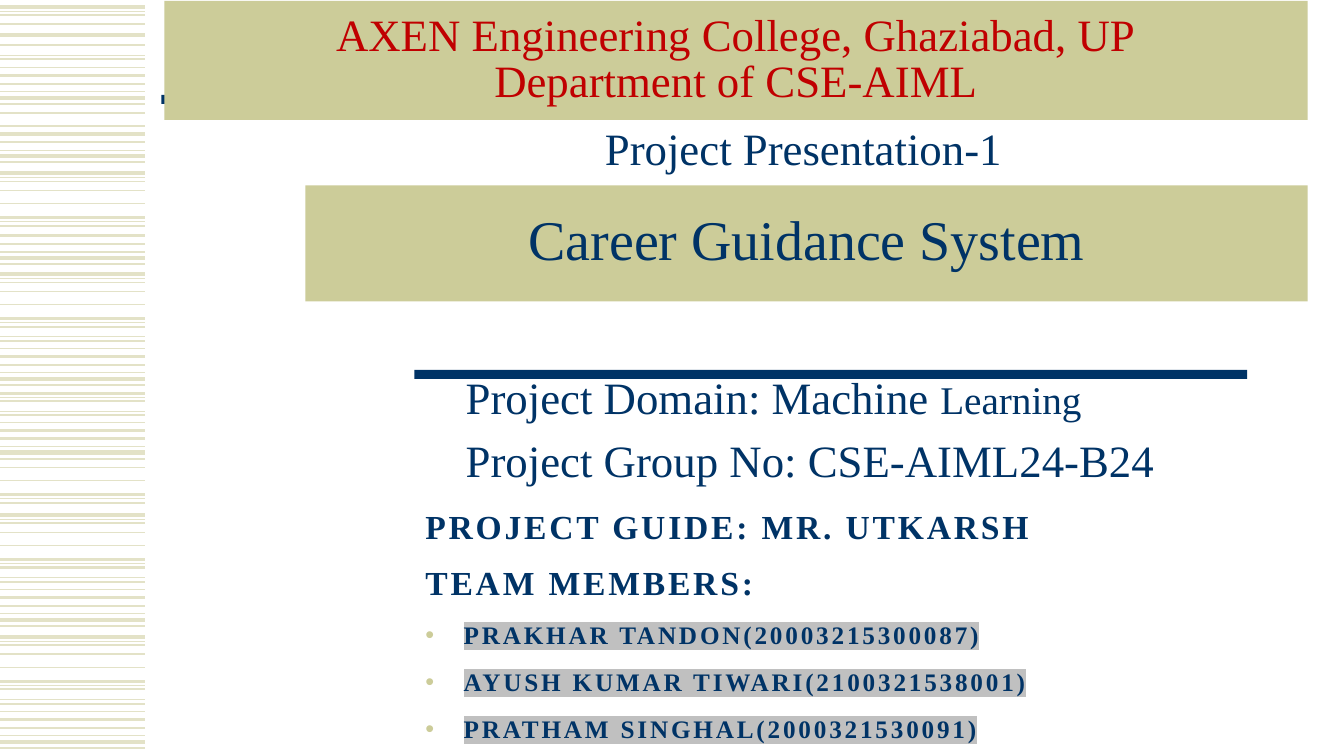
"""Build the title slide of a career guidance project presentation."""
import pptx
import pptx.util
import pptx.dml.color
import pptx.enum.shapes
import pptx.enum.text
import pptx.oxml.ns
import lxml.etree

Inches, Pt = pptx.util.Inches, pptx.util.Pt
RGBColor = pptx.dml.color.RGBColor
ALIGN = pptx.enum.text.PP_ALIGN
ANCHOR = pptx.enum.text.MSO_ANCHOR
qn = pptx.oxml.ns.qn
NAVY = RGBColor(0x00, 0x33, 0x66)
KHAKI = RGBColor(0xCC, 0xCC, 0x99)
STRIPE = RGBColor(0xE3, 0xE2, 0xC7)
RED = RGBColor(0xC0, 0x00, 0x00)
SILVER = RGBColor(0xC0, 0xC0, 0xC0)

prs = pptx.Presentation()
prs.slide_width, prs.slide_height = Inches(13.33), Inches(7.5)
s = prs.slides.add_slide(prs.slide_layouts[6])


def add_box(at, fill=None):
    """Add a filled rectangle, or a text box when there is no fill."""
    at = [Inches(v) for v in at]
    if fill is None:
        sp = s.shapes.add_textbox(*at)
    else:
        sp = s.shapes.add_shape(pptx.enum.shapes.MSO_SHAPE.RECTANGLE, *at)
        sp.shadow.inherit = False
        sp.fill.solid()
        sp.fill.fore_color.rgb = fill
        sp.line.fill.background()
    sp.text_frame.word_wrap = True
    return sp


def add_text(tf, runs, color=NAVY, bold=False, **paragraph):
    """Add a paragraph of (text, size) runs, reusing an empty first one."""
    p = tf.paragraphs[0] if not tf.paragraphs[0].runs else tf.add_paragraph()
    for name, value in paragraph.items():
        setattr(p, name, value)
    for text, size in runs:
        r = p.add_run()
        r.text = text
        r.font.color.rgb = color
        for name, value in {"name": "Times New Roman", "size": Pt(size), "bold": bold}.items():
            setattr(r.font, name, value)
    return p


short = [(0, 1), (0.08, 2.25), (0.16, 1.5), (0.24, 0.75), (0.3, 3), (0.36, 1.5)]
tall = [(0, 3), (0.04, 0.75), (0.08, 1), (0.17, 1), (0.3, 1),
        (0.44, 2.25), (0.48, 0.75), (0.52, 1.5), (0.62, 0.75), (0.66, 1.5)]
bands = [
    (0.07, tall[:4]), (0.35, tall[:1]), (-0.07, tall[7:]), (0.67, short),
    (1.12, short[:1]), (1.25, short), (1.72, tall[:8]), (2.26, short[1:]),
    (2.72, tall), (3.46, short), (3.46, tall[5:]), (4.19, short),
    (4.47, tall[3:8]), (5.11, tall), (5.85, short), (6.32, tall), (7.06, short),
]
for top, stripes in bands:
    for offset, weight in stripes:
        y = Inches(top + offset)
        line = s.shapes.add_connector(
            pptx.enum.shapes.MSO_CONNECTOR.STRAIGHT, 0, y, Inches(1.44), y)
        line.line.color.rgb = STRIPE
        line.line.width = Pt(weight)
        lxml.etree.SubElement(line._element.spPr, qn("a:effectLst"))

for left, top in [(4.11, 3.67), (1.6, 0.94)]:
    add_box((left, top, 8.26, 0.09), NAVY)

centred = {"alignment": ALIGN.CENTER, "line_spacing": 0.85}
banners = [
    ((3.03, 1.84, 9.94, 1.15), ["Career Guidance System"], 40, NAVY),
    ((1.63, 0.01, 11.34, 1.18),
     ["AXEN Engineering College, Ghaziabad, UP", "Department of CSE-AIML"], 32, RED),
]
for at, lines, size, color in banners:
    tf = add_box(at, KHAKI).text_frame
    tf.vertical_anchor = ANCHOR.MIDDLE
    for text in lines:
        add_text(tf, [(text, size)], color, **centred)

tf = add_box((3.75, 1.15, 8.44, 0.75)).text_frame
add_text(tf, [("Project Presentation-1", 32)], alignment=ALIGN.CENTER, space_before=Pt(6.4))

tf = add_box((4.52, 3.62, 8.44, 1.27)).text_frame
for runs in [[("Project Domain: Machine ", 32), ("Learning", 28)],
             [("Project Group No: CSE-AIML24-B24", 32)]]:
    add_text(tf, runs, space_before=Pt(6.4))

tf = add_box((4.12, 5.02, 7.88, 2.46)).text_frame
spaced = {"line_spacing": 0.9, "space_before": Pt(12), "space_after": Pt(2)}
for text in ["PROJECT GUIDE: MR. UTKARSH", "TEAM MEMBERS:"]:
    add_text(tf, [(text, 24)], bold=True, **spaced)
for member in ["PRAKHAR TANDON(20003215300087)", "AYUSH KUMAR TIWARI(2100321538001)",
               "PRATHAM SINGHAL(2000321530091)\t"]:
    p = add_text(tf, [(member, 18)], bold=True, **spaced)
    pPr = p._p.get_or_add_pPr()
    pPr.set("marL", str(Inches(0.38)))
    pPr.set("indent", str(-Inches(0.38)))
    color = lxml.etree.SubElement(pPr, qn("a:buClr"))
    lxml.etree.SubElement(color, qn("a:srgbClr"), val=str(KHAKI))
    lxml.etree.SubElement(pPr, qn("a:buFont"), typeface="Arial")
    lxml.etree.SubElement(pPr, qn("a:buChar"), char="\u2022")
    tabs = lxml.etree.SubElement(pPr, qn("a:tabLst"))
    lxml.etree.SubElement(tabs, qn("a:tab"), pos=str(Inches(6.19)), algn="l")
    highlight = lxml.etree.Element(qn("a:highlight"))
    lxml.etree.SubElement(highlight, qn("a:srgbClr"), val=str(SILVER))
    p.runs[0].font._element.find(qn("a:solidFill")).addnext(highlight)
for p in tf.paragraphs:
    p.runs[0].font._element.set("spc", "200")

prs.save("out.pptx")
